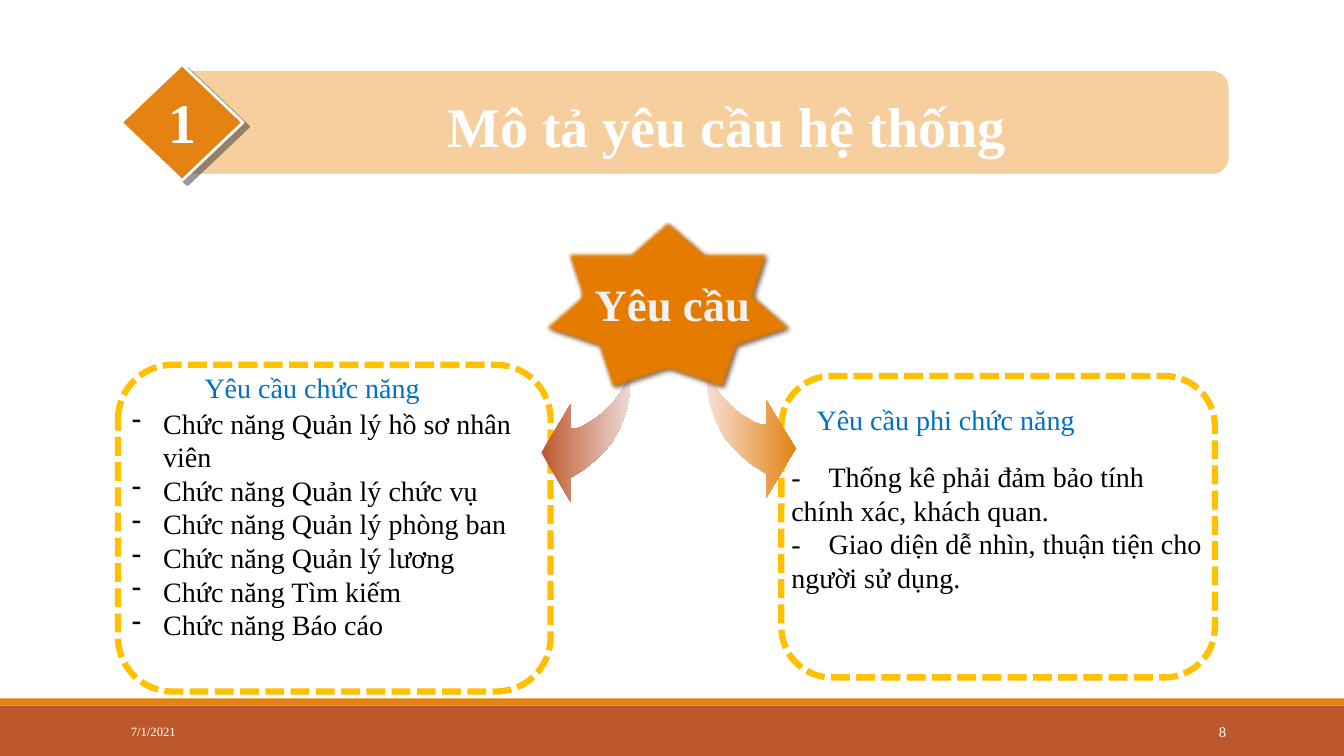
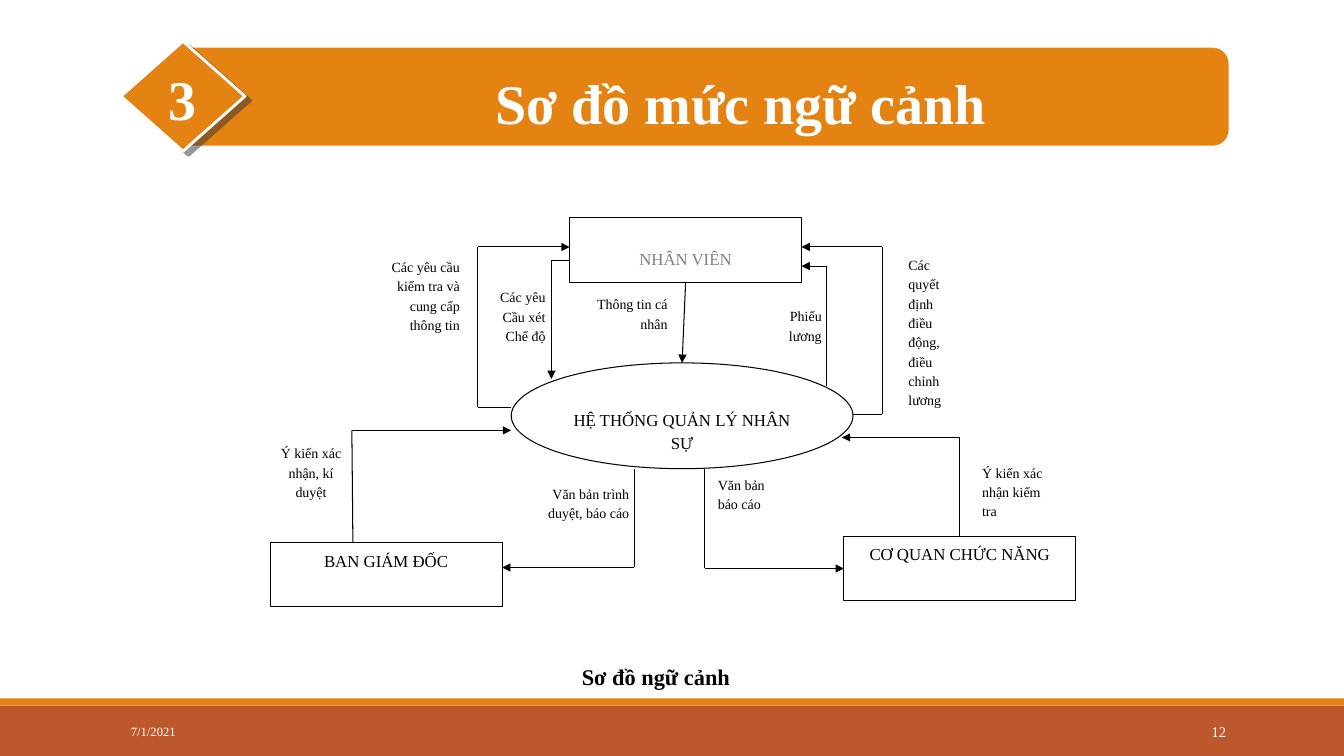
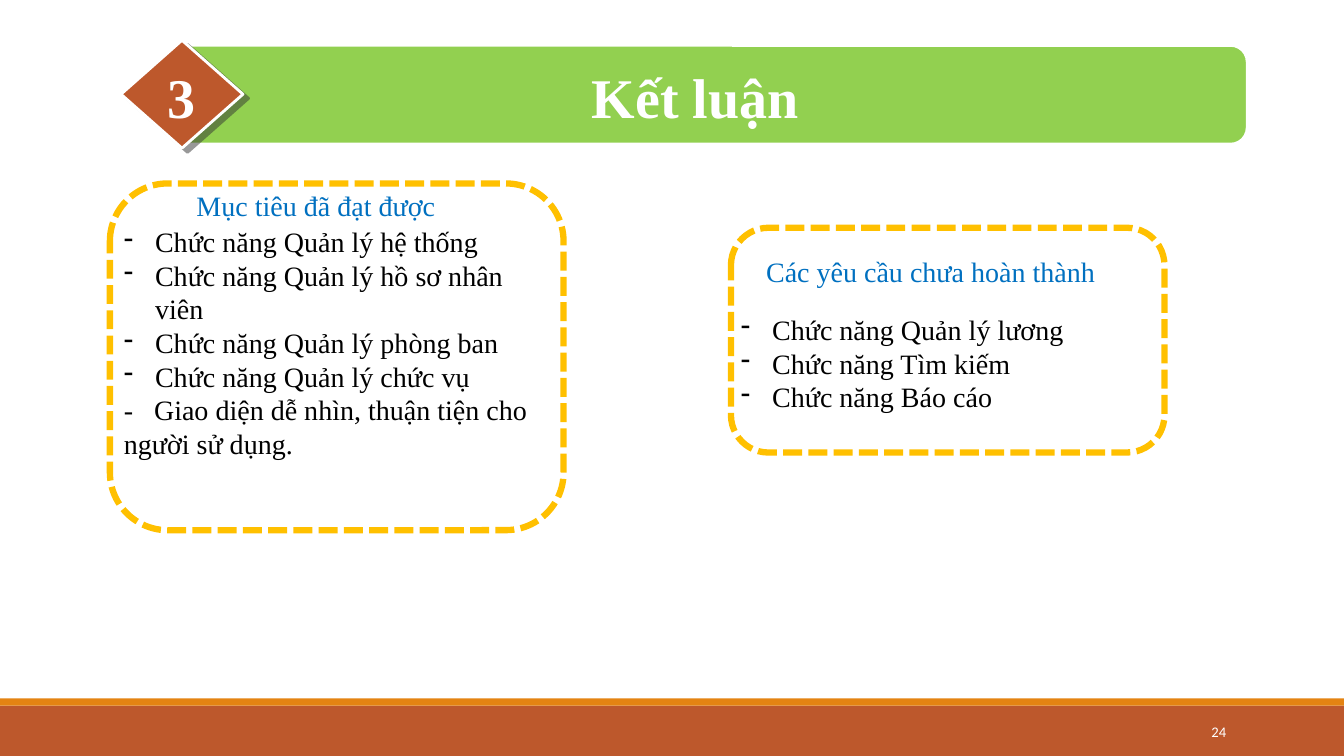
from dataclasses import dataclass
from typing import Optional

import pptx
import pptx.dml.color
import pptx.enum.dml
import pptx.enum.shapes
import pptx.enum.text
import pptx.oxml
import pptx.oxml.ns
import pptx.util
from pptx.util import Inches

COLORS = {
    "white": "FFFFFF", "black": "000000", "rust": "BD582C", "orange": "E48312",
    "peach": "F7CE9D", "green": "92D050", "gold": "FFC000", "blue": "0070C0",
    "grey": "808080", "star": "E67C00", "star_text": "F2F2F2", "shade": "333333",
    "pale_rust": "EDDCD9", "pale_orange": "F7E1D8",
}
SERIF = "Times New Roman"
SHAPE = pptx.enum.shapes.MSO_SHAPE
ALIGN = {"l": pptx.enum.text.PP_ALIGN.LEFT, "c": pptx.enum.text.PP_ALIGN.CENTER,
         "r": pptx.enum.text.PP_ALIGN.RIGHT}
HANG = 0.31
Box = tuple[float, float, float, float]
Point = tuple[float, float]


@dataclass
class Header:
    number: str
    title: str
    band: Box
    diamond: Box
    title_at: Box
    number_at: Box
    band_color: str = "orange"
    diamond_color: str = "orange"


@dataclass
class Item:
    text: str
    tab: Optional[float] = None  # a typed dash with this tab stop instead of a bullet


@dataclass
class Card:
    frame: Box
    heading: str
    heading_at: Box
    items_at: Box
    items: list[Item]


@dataclass
class Node:
    text: str
    box: Box
    kind: int = SHAPE.RECTANGLE
    color: str = "black"
    top: float = 0.05


@dataclass
class Label:
    text: str
    box: Box
    align: str = "r"


@dataclass
class Flow:
    points: list[Point]
    start: Optional[tuple[str, int]] = None
    end: Optional[tuple[str, int]] = None


def rgb(name: str) -> pptx.dml.color.RGBColor:
    return pptx.dml.color.RGBColor.from_string(COLORS[name])


def element(tag: str, inner: str = "", **attributes):
    listed = "".join(f' {key}="{value}"' for key, value in attributes.items())
    return pptx.oxml.parse_xml(
        f'<a:{tag} {pptx.oxml.ns.nsdecls("a")}{listed}>{inner}</a:{tag}>')


def write(target, text: str, *, size: float, color: str = "black", bold: bool = False,
          align: str = "l", font: str = SERIF, spacing: Optional[float] = None,
          middle: bool = False, wrap: bool = True, inset: Optional[float] = None,
          top: Optional[float] = None) -> None:
    """Write text, one paragraph a line, into a shape."""
    frame = target.text_frame
    frame.word_wrap = wrap
    anchors = pptx.enum.text.MSO_ANCHOR
    frame.vertical_anchor = anchors.MIDDLE if middle else anchors.TOP
    if inset is not None:
        frame.margin_left = frame.margin_right = frame.margin_bottom = Inches(inset)
        frame.margin_top = Inches(inset if top is None else top)
    for index, line in enumerate(text.split("\n")):
        paragraph = frame.paragraphs[0] if index == 0 else frame.add_paragraph()
        paragraph.alignment = ALIGN[align]
        if spacing:
            paragraph.line_spacing = spacing
        run = paragraph.add_run()
        run.text = line
        run.font.size = pptx.util.Pt(size)
        run.font.name = font
        run.font.bold = bold
        run.font.color.rgb = rgb(color)


def add_text(slide, box: Box, text: str, **style):
    area = slide.shapes.add_textbox(*map(Inches, box))
    write(area, text, **style)
    return area


def paint(shape, fill: Optional[str], line: Optional[str], width: float) -> None:
    shape.shadow.inherit = False
    if fill:
        shape.fill.solid()
        shape.fill.fore_color.rgb = rgb(fill)
    else:
        shape.fill.background()
    if line:
        shape.line.color.rgb = rgb(line)
        shape.line.width = pptx.util.Pt(width)
    else:
        shape.line.fill.background()


def add_shape(slide, kind, box: Box, fill: Optional[str] = None,
              line: Optional[str] = None, width: float = 1):
    shape = slide.shapes.add_shape(kind, *map(Inches, box))
    paint(shape, fill, line, width)
    return shape


def cast_shadow(shape, color: str, opacity: int, blur: float, distance: float,
                angle: int) -> None:
    tint = (f'<a:srgbClr val="{COLORS[color]}">'
            f'<a:alpha val="{opacity * 1000}"/></a:srgbClr>')
    effects = shape._element.spPr.find(pptx.oxml.ns.qn("a:effectLst"))
    effects.append(element("outerShdw", tint, blurRad=pptx.util.Pt(blur),
                           dist=pptx.util.Pt(distance), dir=angle * 60000,
                           algn="ctr", rotWithShape=0))


# Parts shared by the slides
def add_footer(slide, number: str, date: str = "", font: str = SERIF) -> None:
    add_shape(slide, SHAPE.RECTANGLE, (0, 7, 13.33, 0.5), "rust")
    add_shape(slide, SHAPE.RECTANGLE, (0, 6.93, 13.33, 0.07), "orange")
    if date:
        add_text(slide, (1.2, 7.06, 2.7, 0.4), date, size=9, color="white", middle=True)
    add_text(slide, (10.83, 7.06, 1.43, 0.4), number, size=10.5, color="white",
             align="r", font=font, middle=True)


def add_header(slide, header: Header) -> None:
    add_shape(slide, SHAPE.ROUNDED_RECTANGLE, header.band, header.band_color, "white", 2)
    diamond = add_shape(slide, SHAPE.DIAMOND, header.diamond, header.diamond_color,
                        "white", 2)
    cast_shadow(diamond, "shade", 50, 0, 5, 37)
    for box, text in ((header.title_at, header.title), (header.number_at, header.number)):
        add_text(slide, box, text, size=40, color="white", bold=True, align="c",
                 wrap=text != header.number)


def add_card(slide, card: Card) -> None:
    frame = add_shape(slide, SHAPE.ROUNDED_RECTANGLE, card.frame, None, "gold", 4.5)
    frame.line.dash_style = pptx.enum.dml.MSO_LINE.SQUARE_DOT
    add_text(slide, card.heading_at, card.heading, size=20, color="blue")
    lines = [item.text if item.tab is None else f"-\t{item.text}" for item in card.items]
    listing = add_text(slide, card.items_at, "\n".join(lines), size=20)
    for item, paragraph in zip(card.items, listing.text_frame.paragraphs):
        settings = paragraph._p.get_or_add_pPr()
        if item.tab is None:
            settings.set("marL", str(Inches(HANG)))
            settings.set("indent", str(-Inches(HANG)))
            settings.append(element("buChar", char="-"))
        else:
            stop = f'<a:tab pos="{Inches(item.tab)}" algn="l"/>'
            settings.append(element("tabLst", stop))


# Parts of the requirements slide
LEFT_ARROW: list[Point] = [
    (6.26, 3.62), (6.26, 3.77), (6.24, 3.92), (6.22, 4.05), (6.18, 4.17), (6.13, 4.28),
    (6.07, 4.39), (5.99, 4.48), (5.9, 4.57), (5.79, 4.66), (5.66, 4.74), (5.66, 4.98),
    (5.37, 4.49), (5.66, 4.01), (5.66, 4.25), (5.72, 4.25), (5.78, 4.23), (5.84, 4.19),
    (5.91, 4.15), (5.97, 4.1), (6.03, 4.04), (6.1, 3.97), (6.15, 3.9), (6.19, 3.83),
    (6.23, 3.76), (6.25, 3.69),
]
RIGHT_ARROW = [(13.26 - x, y - 0.04) for x, y in LEFT_ARROW]


def add_curved_arrow(slide, outline: list[Point], left: str, right: str) -> None:
    corners = [(Inches(x), Inches(y)) for x, y in outline]
    builder = slide.shapes.build_freeform(*corners[0])
    builder.add_line_segments(corners[1:], close=True)
    arrow = builder.convert_to_shape()
    paint(arrow, None, None, 0)
    arrow.fill.gradient()
    arrow.fill.gradient_angle = 0
    for stop, color in zip(arrow.fill.gradient_stops, (left, right)):
        stop.color.rgb = rgb(color)


def build_requirements(slide) -> None:
    add_footer(slide, "8", "7/1/2021")
    add_header(slide, Header(
        "1", "Mô tả yêu cầu hệ thống", (1.73, 0.69, 10.47, 1.05), (1.2, 0.64, 1.21, 1.15),
        (2.43, 0.86, 9.55, 0.77), (1.57, 0.82, 0.48, 0.77), band_color="peach"))
    functions = ("Quản lý hồ sơ nhân viên", "Quản lý chức vụ", "Quản lý phòng ban",
                 "Quản lý lương", "Tìm kiếm", "Báo cáo")
    add_card(slide, Card(
        (1.17, 3.62, 4.29, 3.24), "Yêu cầu chức năng", (1.93, 3.63, 2.75, 0.44),
        (1.21, 3.98, 4.5, 2.46), [Item(f"Chức năng {name}") for name in functions]))
    add_card(slide, Card(
        (7.75, 3.73, 4.3, 2.99), "Yêu cầu phi chức năng", (8, 3.94, 3.22, 0.44),
        (7.75, 4.51, 4.3, 1.45),
        [Item("Thống kê phải đảm bảo tính chính xác, khách quan.", 0.37),
         Item("Giao diện dễ nhìn, thuận tiện cho người sử dụng.", 0.37)]))
    add_curved_arrow(slide, LEFT_ARROW, "rust", "pale_rust")
    add_curved_arrow(slide, RIGHT_ARROW, "pale_orange", "orange")
    star = add_shape(slide, SHAPE.STAR_7_POINT, (5.36, 2.17, 2.52, 1.7), "star", "orange")
    cast_shadow(star, "black", 60, 3, 2, 45)
    effects = star._element.spPr.find(pptx.oxml.ns.qn("a:effectLst"))
    effects.append(element("softEdge", rad=pptx.util.Pt(2.5)))
    add_text(slide, (5.79, 2.7, 1.76, 0.64), "Yêu cầu", size=32, color="star_text",
             bold=True, align="c", wrap=False)


# Parts of the context diagram
NODES = {
    "employee": Node("NHÂN VIÊN", (5.65, 2.16, 2.3, 0.64), color="grey", top=0.28),
    "authority": Node("CƠ QUAN CHỨC NĂNG", (8.37, 5.32, 2.3, 0.64)),
    "director": Node("BAN GIÁM ĐỐC", (2.68, 5.38, 2.3, 0.64)),
    "system": Node("HỆ THỐNG QUẢN LÝ NHÂN SỰ", (5.07, 3.6, 3.39, 1.05), SHAPE.OVAL,
                   top=0.28),
}
LABELS = [
    Label("Ý kiến xác nhận, kí duyệt", (2.68, 4.34, 0.81, 0.98), "c"),
    Label("Phiếu lương", (7.44, 2.98, 0.76, 0.57)),
    Label("Thông tin cá nhân", (5.82, 2.86, 0.85, 0.69)),
    Label("Các yêu\nCầu xét\nChế độ", (4.61, 2.79, 0.85, 0.88)),
    Label("Các quyết định điều động, điều chỉnh lương", (8.96, 2.47, 0.61, 1.51), "l"),
    Label("Các yêu cầu kiểm tra và cung cấp thông tin", (3.73, 2.49, 0.88, 1.55)),
    Label("Văn bản trình duyệt, báo cáo", (5.38, 4.74, 0.91, 0.71)),
    Label("Ý kiến xác nhận kiểm tra", (9.69, 4.53, 0.75, 0.7), "l"),
    Label("Văn bản báo cáo", (7.07, 4.65, 0.77, 0.84), "l"),
]
FLOWS = [
    Flow([(6.8, 2.8), (6.77, 3.6)], start=("employee", 2), end=("system", 0)),
    Flow([(5.65, 2.58), (5.47, 2.58), (5.47, 3.76)]),
    Flow([(5.07, 4.04), (4.74, 4.04), (4.74, 2.45), (5.65, 2.45)]),
    Flow([(8.2, 3.83), (8.2, 2.64), (7.95, 2.64)]),
    Flow([(8.46, 4.11), (8.75, 4.11), (8.75, 2.45), (7.95, 2.45)]),
    Flow([(3.5, 5.38), (3.49, 4.27), (5.07, 4.27)]),
    Flow([(6.29, 4.65), (6.29, 5.63), (4.98, 5.63)]),
    Flow([(6.99, 4.65), (6.99, 5.64), (8.37, 5.64)], end=("authority", 1)),
    Flow([(9.52, 5.32), (9.52, 4.34), (8.35, 4.34)], start=("authority", 0)),
]


def add_flow(slide, flow: Flow, nodes: dict) -> None:
    segments = []
    for begin, end in zip(flow.points, flow.points[1:]):
        segment = slide.shapes.add_connector(
            pptx.enum.shapes.MSO_CONNECTOR.STRAIGHT, *map(Inches, begin + end))
        segment.line.color.rgb = rgb("black")
        segment.line.width = pptx.util.Pt(0.75)
        segment._element.spPr.append(element("effectLst"))
        segments.append(segment)
    segments[-1].line._get_or_add_ln().append(element("tailEnd", type="triangle"))
    if flow.start:
        segments[0].begin_connect(nodes[flow.start[0]], flow.start[1])
    if flow.end:
        segments[-1].end_connect(nodes[flow.end[0]], flow.end[1])


def build_context(slide) -> None:
    add_footer(slide, "12", "7/1/2021")
    add_header(slide, Header(
        "3", "Sơ đồ mức ngữ cảnh", (1.73, 0.46, 10.47, 1), (1.2, 0.41, 1.23, 1.09),
        (2.5, 0.63, 9.69, 0.77), (1.55, 0.59, 0.52, 0.77)))
    for label in LABELS:
        add_text(slide, label.box, label.text, size=10, align=label.align, spacing=1.15,
                 inset=0.05)
    drawn = {}
    for key, node in NODES.items():
        drawn[key] = add_shape(slide, node.kind, node.box, "white", "black", 0.75)
        write(drawn[key], node.text, size=12, color=node.color, align="c", spacing=1.15,
              inset=0.05, top=node.top)
    for flow in FLOWS:
        add_flow(slide, flow, drawn)
    add_text(slide, (5.66, 6.53, 1.69, 0.37), "Sơ đồ ngữ cảnh", size=16, bold=True,
             align="c", wrap=False)


def build_conclusion(slide) -> None:
    add_footer(slide, "24", font="Calibri")
    add_header(slide, Header(
        "3", "Kết luận", (1.73, 0.45, 10.64, 0.98), (1.2, 0.4, 1.21, 1.07),
        (2.12, 0.57, 9.55, 0.77), (1.55, 0.57, 0.51, 0.77), "green", "rust"))
    reached = ("Quản lý hệ thống", "Quản lý hồ sơ nhân viên", "Quản lý phòng ban",
               "Quản lý chức vụ")
    pending = ("Quản lý lương", "Tìm kiếm", "Báo cáo")
    add_card(slide, Card(
        (1.09, 1.82, 4.5, 3.44), "Mục tiêu đã đạt được", (1.85, 1.82, 2.75, 0.44),
        (1.13, 2.18, 4.5, 2.79),
        [Item(f"Chức năng {name}") for name in reached]
        + [Item("Giao diện dễ nhìn, thuận tiện cho người sử dụng.", 0.3)]))
    add_card(slide, Card(
        (7.25, 2.26, 4.3, 2.23), "Các yêu cầu chưa hoàn thành", (7.5, 2.48, 3.53, 0.44),
        (7.25, 3.05, 4.3, 1.45), [Item(f"Chức năng {name}") for name in pending]))


def main() -> None:
    deck = pptx.Presentation()
    deck.slide_width, deck.slide_height = Inches(13.33), Inches(7.5)
    blank = deck.slide_layouts[6]
    for build in (build_requirements, build_context, build_conclusion):
        build(deck.slides.add_slide(blank))
    deck.save("out.pptx")


if __name__ == "__main__":
    main()
